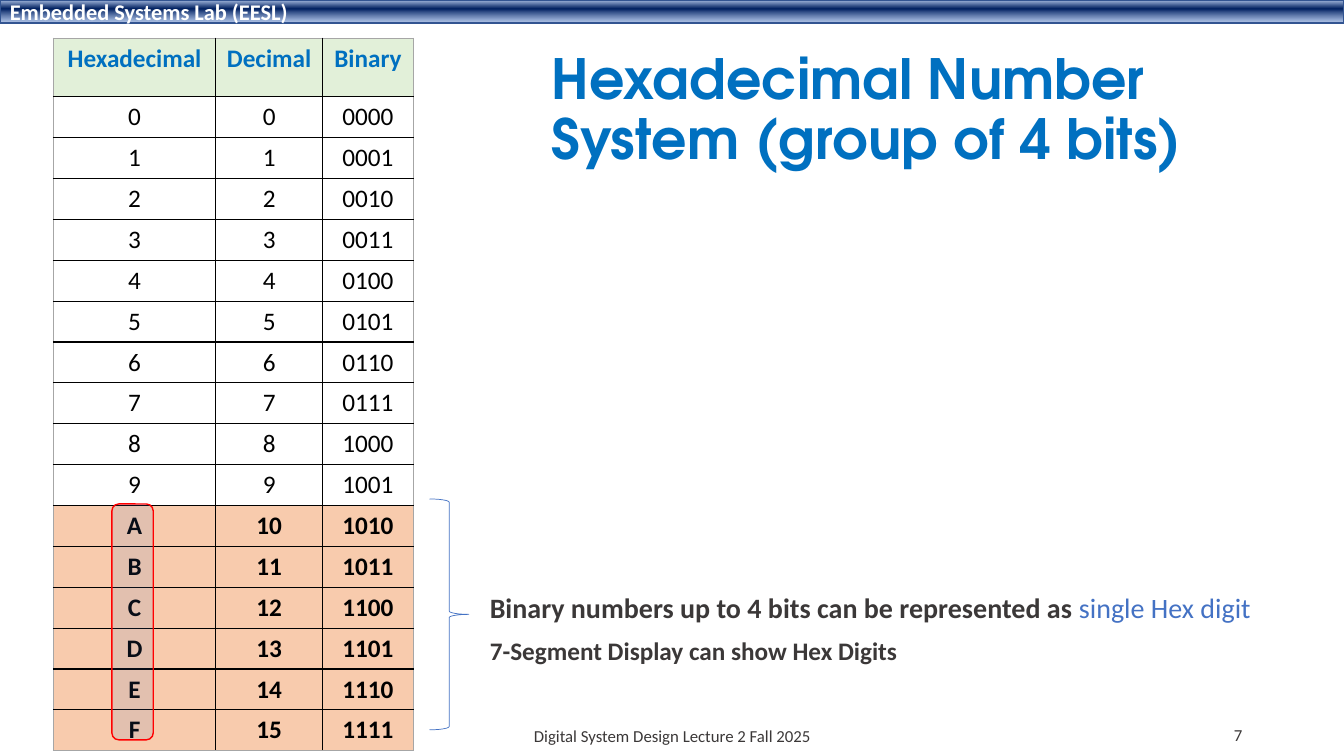
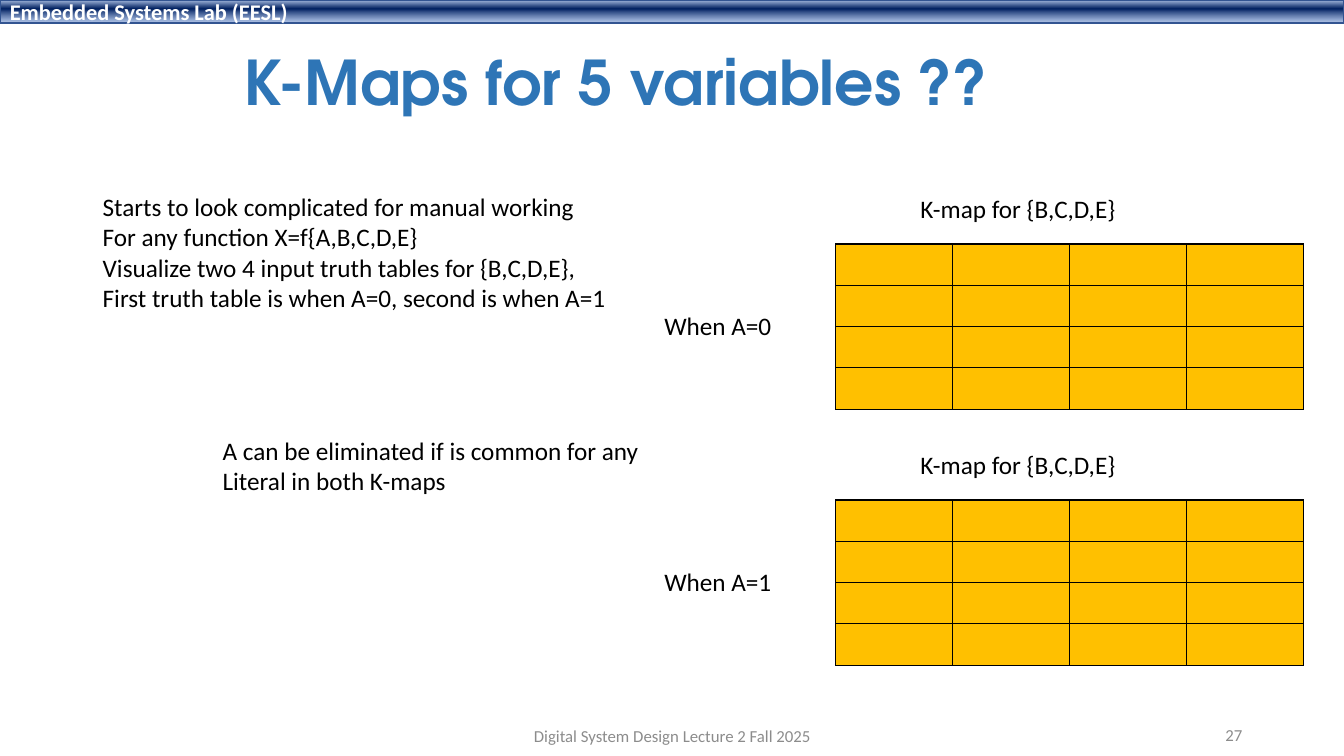
from dataclasses import dataclass

from lxml.etree import SubElement
from pptx import Presentation
from pptx.dml.color import RGBColor
from pptx.enum.shapes import MSO_SHAPE
from pptx.enum.text import MSO_ANCHOR, MSO_AUTO_SIZE, PP_ALIGN
from pptx.oxml.ns import qn
from pptx.util import Inches, Pt


@dataclass(frozen=True)
class Theme:
    """Colours, fonts and type sizes of the deck."""
    body_font: str = "Calibri"
    title_font: str = "TeX Gyre Adventor"
    ink: str = "000000"
    white: str = "FFFFFF"
    dark_grey: str = "3B3838"
    pale_grey: str = "8C8C8C"
    edge_grey: str = "A6A6A6"
    title_blue: str = "0070C0"
    kmap_blue: str = "2E75B6"
    accent: str = "4472C4"
    band_line: str = "325491"
    band_stops: tuple = ((2, "ABC0E4", 100), (38, "002060", 100), (93, "7E9ED6", 64))
    head_fill: str = "E2F0D9"
    letter_fill: str = "F8CBAD"
    kmap_fill: str = "FFC000"
    red: str = "FF0000"
    footer_size: float = 12
    band_size: float = 16
    body_size: float = 18
    lead_size: float = 20
    long_title_size: float = 39.6
    title_size: float = 44


THEME = Theme()


def rgb(colour):
    """Turn a hex string into a colour."""
    return RGBColor.from_string(colour)


def add_run(paragraph, words, size=THEME.body_size, colour=THEME.ink,
            bold=False, font=THEME.body_font):
    """Append one styled run to a paragraph."""
    run = paragraph.add_run()
    run.text = words
    run.font.name = font
    run.font.size = Pt(size)
    run.font.bold = bold
    run.font.color.rgb = rgb(colour)


def add_text(slide, box, lines, align=PP_ALIGN.LEFT, anchor=MSO_ANCHOR.TOP,
             wrap=False, spacing=None):
    """Place lines of text; each line is a list of (words, style) runs."""
    frame = slide.shapes.add_textbox(*map(Inches, box)).text_frame
    frame.word_wrap = wrap
    frame.auto_size = MSO_AUTO_SIZE.NONE if wrap else MSO_AUTO_SIZE.SHAPE_TO_FIT_TEXT
    frame.vertical_anchor = anchor
    for index, runs in enumerate(lines):
        paragraph = frame.add_paragraph() if index else frame.paragraphs[0]
        paragraph.alignment = align
        if spacing:
            paragraph.line_spacing = spacing
        for words, style in runs:
            add_run(paragraph, words, **style)


def add_plain(slide, box, *lines):
    """Place plain body lines."""
    add_text(slide, box, [[(line, {})] for line in lines])


def add_outline(slide, preset, box, colour, width):
    """Place an unfilled preset shape with a coloured line."""
    shape = slide.shapes.add_shape(preset, *map(Inches, box))
    shape.shadow.inherit = False
    shape.fill.background()
    shape.line.color.rgb = rgb(colour)
    shape.line.width = Pt(width)
    return shape


def set_alpha(colour_element, percent):
    """Make a colour element partly transparent."""
    SubElement(colour_element, qn("a:alpha")).set("val", str(percent * 1000))


def add_band(slide):
    """Draw the gradient band with the lab name."""
    band = add_outline(slide, MSO_SHAPE.RECTANGLE, (0, 0, 13.33, 0.23), THEME.band_line, 1)
    band.fill.gradient()
    band.fill.gradient_angle = 270
    stops = next(band._element.spPr.iter(qn("a:gsLst")))
    for stop in list(stops):
        stops.remove(stop)
    for position, colour, alpha in THEME.band_stops:
        stop = SubElement(stops, qn("a:gs"), pos=str(position * 1000))
        colour_element = SubElement(stop, qn("a:srgbClr"), val=colour)
        if alpha < 100:
            set_alpha(colour_element, alpha)
    frame = band.text_frame
    frame.vertical_anchor = MSO_ANCHOR.MIDDLE
    frame.paragraphs[0].alignment = PP_ALIGN.LEFT
    add_run(frame.paragraphs[0], "Embedded Systems Lab (EESL)",
            THEME.band_size, THEME.white, True)


def add_frame(slide, title, box, title_size, title_colour, number, footer_colour):
    """Add the band, title, footer and slide number."""
    add_band(slide)
    heading = dict(size=title_size, colour=title_colour, bold=True, font=THEME.title_font)
    small = dict(size=THEME.footer_size, colour=footer_colour)
    for place, words, style, align, spacing in (
        (box, title, heading, PP_ALIGN.LEFT, 0.9),
        ((4.42, 7.1, 4.5, 0.4), "Digital System Design Lecture 2 Fall 2025",
         small, PP_ALIGN.CENTER, None),
        ((9.42, 7.09, 3, 0.4), number, small, PP_ALIGN.RIGHT, None),
    ):
        add_text(slide, place, [[(words, style)]], align, MSO_ANCHOR.MIDDLE, True, spacing)


def set_borders(cell, colours):
    """Draw the left, right, top and bottom borders of a cell."""
    properties = cell._tc.get_or_add_tcPr()
    for index, (side, colour) in enumerate(zip(("lnL", "lnR", "lnT", "lnB"), colours)):
        line = SubElement(properties, qn(f"a:{side}"), w=str(Pt(1)))
        fill = SubElement(line, qn("a:solidFill"))
        SubElement(fill, qn("a:srgbClr"), val=colour)
        properties.insert(index, line)


def add_grid(slide, left, top, widths, heights, fills, edge):
    """Add a bordered table with one fill for each row and return it."""
    rows, columns = len(heights), len(widths)
    table = slide.shapes.add_table(rows, columns, *map(
        Inches, (left, top, sum(widths), sum(heights)))).table
    table.first_row = table.horz_banding = False
    for column, width in zip(table.columns, widths):
        column.width = Inches(width)
    for row, height in zip(table.rows, heights):
        row.height = Inches(height)
    for r, fill in enumerate(fills):
        for c in range(columns):
            cell = table.cell(r, c)
            if fill:
                cell.fill.solid()
                cell.fill.fore_color.rgb = rgb(fill)
            else:
                cell.fill.background()
            outer = (c == 0, c == columns - 1, r == 0, r == rows - 1)
            set_borders(cell, [edge if side else THEME.ink for side in outer])
    return table


def add_number_table(slide, left, top):
    """Tabulate 0 to 15 in hexadecimal, decimal and binary."""
    header = ("Hexadecimal", "Decimal", "Binary")
    numbers = [(f"{n:X}", str(n), f"{n:04b}") for n in range(16)]
    fills = [THEME.head_fill] + [None] * 10 + [THEME.letter_fill] * 6
    table = add_grid(slide, left, top, (1.61, 1.06, 0.9), [0.58] + [0.37] * 16,
                     fills, THEME.edge_grey)
    for r, entries in enumerate([header] + numbers):
        for c, entry in enumerate(entries):
            paragraph = table.cell(r, c).text_frame.paragraphs[0]
            paragraph.alignment = PP_ALIGN.CENTER
            add_run(paragraph, entry, colour=THEME.ink if r else THEME.title_blue,
                    bold=fills[r] is not None)


def add_kmap(slide, left, top, condition):
    """Draw one empty four-variable map with its labels."""
    add_grid(slide, left, top, [1.16] * 4, [0.41] * 4, [THEME.kmap_fill] * 4, THEME.ink)
    add_plain(slide, (left + 0.74, top - 0.55, 2.16, 0.4), "K-map for {B,C,D,E}")
    add_plain(slide, (left - 1.8, top + 0.61, 1.28, 0.4), condition)


def build_hexadecimal(slide):
    """Build the hexadecimal number slide."""
    add_frame(slide, "Hexadecimal Number System (group of 4 bits)", (5.37, 0.38, 6.65, 1.45),
              THEME.long_title_size, THEME.title_blue, "7", THEME.dark_grey)
    add_number_table(slide, 0.53, 0.38)
    add_outline(slide, MSO_SHAPE.RIGHT_BRACE, (4.26, 4.95, 0.39, 2.29), THEME.accent, 0.5)
    strong = dict(colour=THEME.dark_grey, bold=True)
    add_text(slide, (4.76, 5.81, 7.86, 0.44), [[
        ("Binary numbers up to 4 bits can be represented as ",
         dict(strong, size=THEME.lead_size)),
        ("single Hex digit", dict(size=THEME.lead_size, colour=THEME.accent)),
    ]])
    add_text(slide, (4.76, 6.25, 4.28, 0.4),
             [[("7-Segment Display can show Hex Digits", strong)]])
    letters = add_outline(slide, MSO_SHAPE.ROUNDED_RECTANGLE, (1.11, 5, 0.41, 2.34),
                          THEME.red, 1)
    letters.fill.solid()
    letters.fill.fore_color.rgb = rgb(THEME.accent)
    set_alpha(letters._element.spPr.find(qn("a:solidFill"))[0], 12)


def build_kmaps(slide):
    """Build the five-variable map slide."""
    add_frame(slide, "K-Maps for 5 variables ??", (2.33, 0.46, 10.1, 0.77),
              THEME.title_size, THEME.kmap_blue, "27", THEME.pale_grey)
    add_plain(slide, (0.92, 1.85, 5.25, 1.31),
              "Starts to look complicated for manual working",
              "For any function X=f{A,B,C,D,E}",
              "Visualize two 4 input truth tables for {B,C,D,E},",
              "First truth table is when A=0, second is when A=1")
    for value in range(2):
        add_kmap(slide, 8.29, 2.42 + 2.54 * value, f"When A={value}")
    add_plain(slide, (2.11, 4.27, 4.38, 0.71),
              "A can be eliminated if is common for any", "Literal in both K-maps")


def main():
    """Build and save the deck."""
    deck = Presentation()
    deck.slide_width, deck.slide_height = Inches(13.33), Inches(7.5)
    for build in (build_hexadecimal, build_kmaps):
        build(deck.slides.add_slide(deck.slide_layouts[6]))
    deck.save("out.pptx")


if __name__ == "__main__":
    main()
